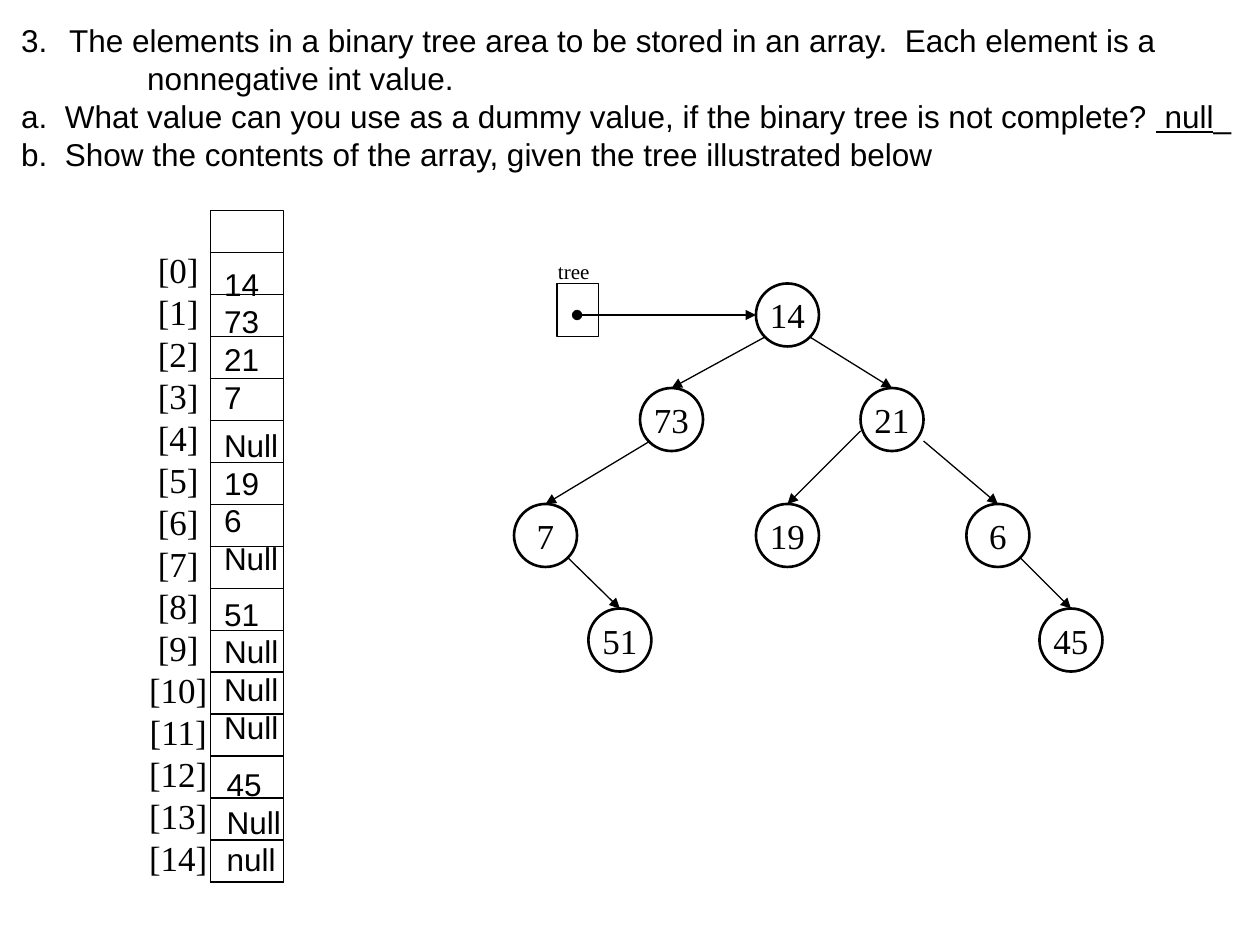
from lxml import etree
from pptx import Presentation
from pptx.dml.color import RGBColor
from pptx.enum.shapes import MSO_CONNECTOR as Connector, MSO_SHAPE as Shape
from pptx.enum.text import MSO_ANCHOR as Anchor, MSO_AUTO_SIZE as AutoSize, PP_ALIGN as Align
from pptx.oxml.ns import qn
from pptx.util import Inches, Pt


def color(hex_string):
    return RGBColor.from_string(hex_string)


class TreeSlide:
    INK = "000000"
    SANS, SERIF = "Arial", "Times New Roman"

    def __init__(self, slide):
        self.slide = slide

    def style(self, paragraph, font, size, pitch=None):
        if pitch:
            paragraph.line_spacing = Pt(pitch)
        for run in paragraph.runs:
            run.font.name, run.font.size = font, Pt(size)
            run.font.color.rgb = color(self.INK)

    def text(self, box, lines, font, size, pitch=None, align=Align.LEFT, wrap=False):
        frame = self.slide.shapes.add_textbox(*map(Inches, box)).text_frame
        frame.word_wrap = wrap
        frame.auto_size = AutoSize.SHAPE_TO_FIT_TEXT
        frame.text = "\n".join(lines)
        for paragraph in frame.paragraphs:
            paragraph.alignment = align
            self.style(paragraph, font, size, pitch)
        return frame

    def shape(self, kind, box, width, label=""):
        outline = self.slide.shapes.add_shape(kind, *map(Inches, box))
        outline.shadow.inherit = False
        outline.fill.background()
        outline.line.color.rgb = color(self.INK)
        outline.line.width = Pt(width)
        if label:
            frame = outline.text_frame
            frame.word_wrap = False
            frame.vertical_anchor = Anchor.MIDDLE
            frame.text = label
            frame.paragraphs[0].alignment = Align.CENTER
            self.style(frame.paragraphs[0], self.SERIF, 20)

    def line(self, start, end, head=None, tail=None):
        link = self.slide.shapes.add_connector(
            Connector.STRAIGHT, *map(Inches, (*start, *end)))
        link.line.color.rgb = color(self.INK)
        link.line.width = Pt(0.75)
        stroke = link.line._get_or_add_ln()
        for tag, kind in (("a:headEnd", head), ("a:tailEnd", tail)):
            if kind:
                etree.SubElement(stroke, qn(tag), type=kind)
        etree.SubElement(link._element.spPr, qn("a:effectLst"))


def indent(paragraph, margin, first, start_number=None):
    props = paragraph._p.get_or_add_pPr()
    props.set("marL", str(Inches(margin)))
    props.set("indent", str(Inches(first)))
    if start_number:
        etree.SubElement(props, qn("a:buAutoNum"), type="arabicPeriod",
                         startAt=str(start_number))


deck = Presentation()
deck.slide_width, deck.slide_height = Inches(10), Inches(7.5)
page = TreeSlide(deck.slides.add_slide(deck.slide_layouts[6]))

# Question
question = page.text((0.07, 0.12, 9.89, 1.31), [
    "The elements in a binary tree area to be stored in an array.  Each element is a ",
    "nonnegative int value.",
    "a.  What value can you use as a dummy value, if the binary tree is not complete? ",
    "b.  Show the contents of the array, given the tree illustrated below",
], page.SANS, 18, 21.6)
stem, stem_end, part_a, part_b = question.paragraphs
indent(stem, 0.38, -0.38, start_number=3)
indent(stem_end, 1.38, -0.38)
indent(part_a, 0.38, -0.38)
indent(part_b, 0.38, -0.38)
for answer, underlined in ((" null", True), ("_", False)):
    run = part_a.add_run()
    run.text = answer
    run.font.underline = underlined
page.style(part_a, page.SANS, 18)

# Tree nodes
NODE = 0.5
nodes = {"14": (6, 2.25), "73": (5.08, 3.08), "21": (6.83, 3.08), "7": (4.08, 4),
         "51": (4.67, 4.83), "19": (6, 4), "6": (7.67, 4), "45": (8.25, 4.83)}
for value, corner in nodes.items():
    page.shape(Shape.OVAL, (*corner, NODE, NODE), 1.5, value)

# Branches: from a point on the parent to the top of the child
LEFT, RIGHT = (0.08, 0.42), (0.42, 0.42)
branches = [("14", "73", LEFT), ("14", "21", RIGHT), ("73", "7", LEFT),
            ("21", "19", (0, 0.34)), ("7", "51", RIGHT),
            ("21", "6", (0.5, 0.42)), ("6", "45", RIGHT)]
for parent, child, (dx, dy) in branches:
    (px, py), (cx, cy) = nodes[parent], nodes[child]
    page.line((px + dx, py + dy), (cx + NODE / 2, cy), tail="triangle")

# Pointer to the root
page.shape(Shape.RECTANGLE, (4.42, 2.25, 0.33, 0.42), 0.75)
page.line((4.58, 2.5), (6, 2.5), head="oval", tail="triangle")
page.text((4.33, 2, 0.45, 0.3), ["tree"], page.SERIF, 12)

# Array cells and indexes
ARRAY_LEFT, ARRAY_TOP, CELL_WIDTH, CELLS = 1.67, 1.67, 0.58, 16
CELL_HEIGHT = 5.33 / CELLS
page.shape(Shape.RECTANGLE, (ARRAY_LEFT, ARRAY_TOP, CELL_WIDTH, CELLS * CELL_HEIGHT), 0.75)
page.text((1.08, 1.92, 0.67, 5.15), [f"[{i}]" for i in range(15)],
          page.SERIF, 20, 24, Align.CENTER)
for row in range(1, CELLS + 1):
    y = ARRAY_TOP + row * CELL_HEIGHT
    page.line((ARRAY_LEFT, y), (ARRAY_LEFT + CELL_WIDTH, y))

# Array contents
contents = [((1.68, 2.05, 0.58, 1.31), ["14", "73", "21", "7"]),
            ((1.68, 3.33, 1.9, 1.31), ["Null", "19", "6", "Null"]),
            ((1.68, 4.67, 1.58, 1.31), ["51", "Null", "Null", "Null"]),
            ((1.7, 6.02, 1.05, 1.01), ["45", "Null", "null"])]
for box, values in contents:
    page.text(box, values, page.SANS, 18, 21.6, wrap=True)

deck.save("out.pptx")
